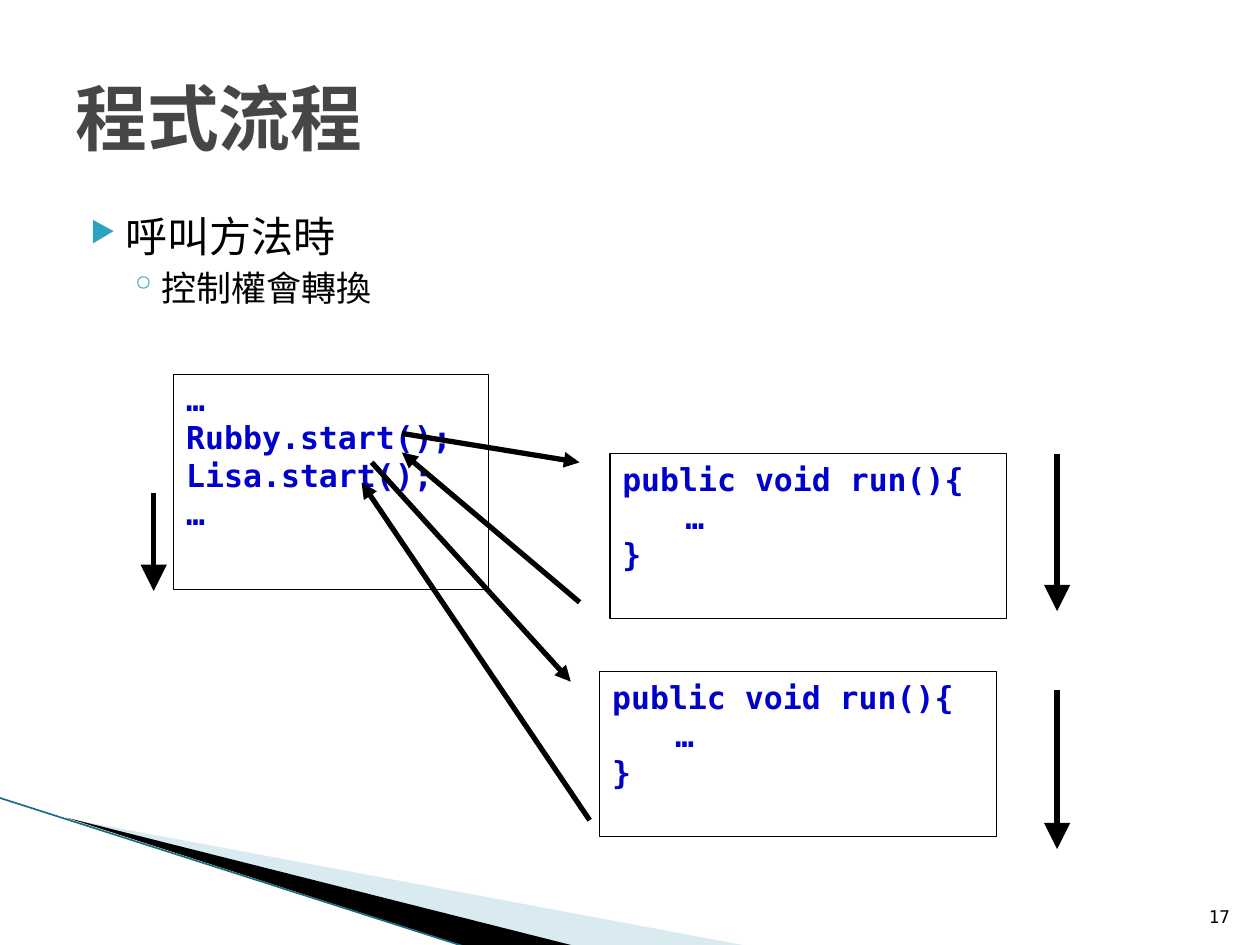
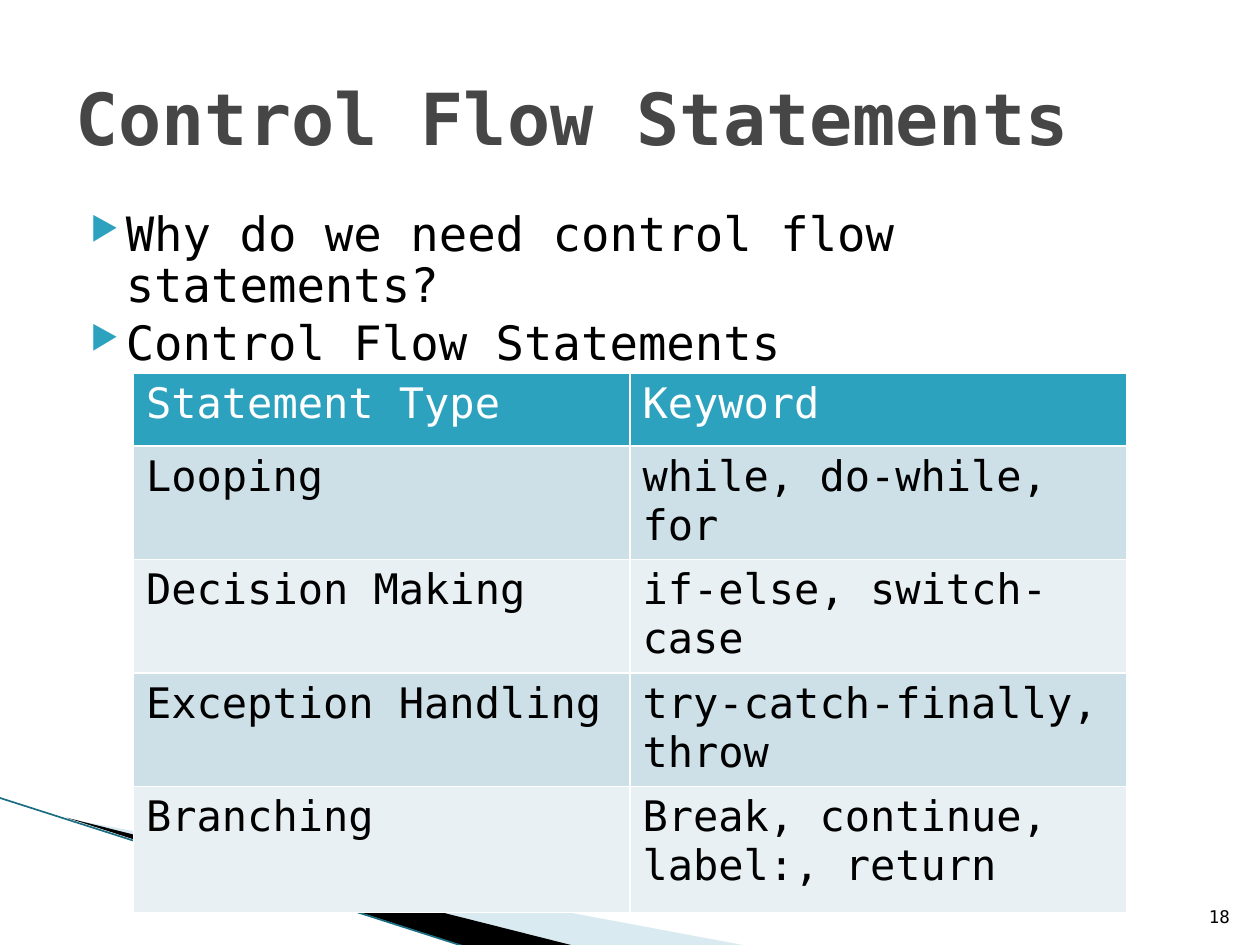
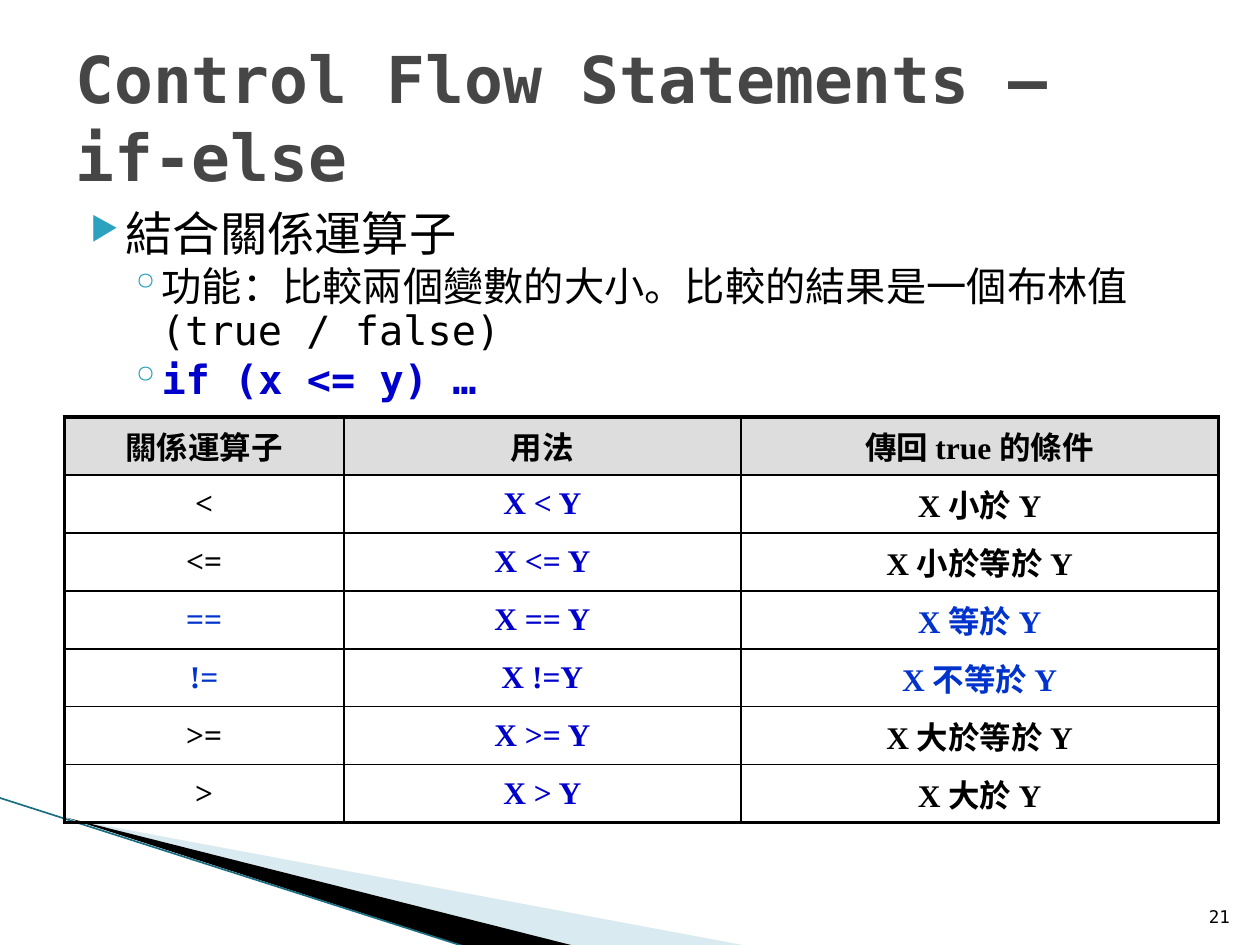
from dataclasses import dataclass

from lxml import etree
from pptx import Presentation
from pptx.dml.color import RGBColor
from pptx.enum.shapes import MSO_CONNECTOR, MSO_SHAPE
from pptx.enum.text import MSO_ANCHOR, PP_ALIGN
from pptx.oxml.ns import qn
from pptx.util import Inches, Pt

STRAIGHT = MSO_CONNECTOR.STRAIGHT
RECTANGLE = MSO_SHAPE.RECTANGLE
TOP, MIDDLE, BOTTOM = MSO_ANCHOR.TOP, MSO_ANCHOR.MIDDLE, MSO_ANCHOR.BOTTOM
LEFT, CENTER, RIGHT = PP_ALIGN.LEFT, PP_ALIGN.CENTER, PP_ALIGN.RIGHT

MONO, SERIF = "DejaVu Sans Mono", "Times New Roman"
COLORS = {
    "text": "000000",
    "title": "464646",
    "code": "0000CC",
    "equality": "0033CC",
    "accent": "2DA2BF",
    "pale_band": "A0CBDC",
    "band_edge": "1A6E82",
    "white": "FFFFFF",
    "row_dark": "CDE0E8",
    "row_light": "E8F0F4",
    "header_gray": "DDDDDD",
}


@dataclass(frozen=True)
class Bullet:
    text: str
    size: float
    level: int = 0
    color: str = "text"
    bold: bool = False


@dataclass(frozen=True)
class BulletStyle:
    indent: float
    hanging: float
    space_before: float
    char: str
    percent: int


@dataclass(frozen=True)
class CodeBox:
    left: float
    top: float
    width: float
    height: float
    lines: tuple


@dataclass(frozen=True)
class Arrow:
    x1: float
    y1: float
    x2: float
    y2: float
    head: str = "med"


@dataclass(frozen=True)
class CellStyle:
    size: float
    font: str
    color: str = "text"
    bold: bool = False
    fill: str = ""
    align: int = LEFT
    anchor: int = TOP
    space_before: float = 0


BULLET_STYLES = (
    BulletStyle(0.4, 0.28, 4, "▶", 68),
    BulletStyle(0.68, 0.25, 3.2, "◦", 100),
)


def rgb(name: str) -> RGBColor:
    return RGBColor.from_string(COLORS[name])


def add_xml(parent, tag: str, **attributes):
    return etree.SubElement(parent, qn(tag), attributes)


def style_font(paragraph, size: float, color: str, bold: bool = False, name: str = MONO) -> None:
    font = paragraph.font
    font.name, font.size, font.bold = name, Pt(size), bold
    font.color.rgb = rgb(color)


def add_line(slide, x1: float, y1: float, x2: float, y2: float, color: str, width: float):
    line = slide.shapes.add_connector(STRAIGHT, Inches(x1), Inches(y1), Inches(x2), Inches(y2))
    line.line.color.rgb = rgb(color)
    line.line.width = Pt(width)
    add_xml(line._element.spPr, "a:effectLst")
    return line


def add_band(slide, points: list, color: str, alpha: int = 100) -> None:
    corners = [(Inches(x), Inches(y)) for x, y in points]
    builder = slide.shapes.build_freeform(*corners[0])
    builder.add_line_segments(corners[1:], close=True)
    band = builder.convert_to_shape()
    band.shadow.inherit = False
    band.line.fill.background()
    band.fill.solid()
    band.fill.fore_color.rgb = rgb(color)
    if alpha < 100:
        tint = band._element.spPr.find(qn("a:solidFill"))[0]
        add_xml(tint, "a:alpha", val=str(alpha * 1000))


def add_text_frame(slide, left: float, top: float, width: float, height: float, anchor=TOP):
    box = slide.shapes.add_textbox(Inches(left), Inches(top), Inches(width), Inches(height))
    frame = box.text_frame
    frame.word_wrap = True
    frame.vertical_anchor = anchor
    return frame


def new_slide(prs, title: str, number: int, title_size: float = 41):
    """Blank slide with the corner bands, the title and the page number."""
    slide = prs.slides.add_slide(prs.slide_layouts[6])
    add_band(slide, [(0.55, 6.5), (5.95, 7.51), (4.56, 7.51)], "pale_band", 40)
    add_band(slide, [(0.53, 6.49), (4.57, 7.51), (3.72, 7.52)], "text")
    add_line(slide, -0.01, 6.33, 3.71, 7.52, "band_edge", 0.95)

    heading = add_text_frame(slide, 0.5, 0.3, 9, 1.25, MIDDLE).paragraphs[0]
    heading.text = title
    style_font(heading, title_size, "title", bold=True)

    page = add_text_frame(slide, 9.46, 7.01, 0.4, 0.4, BOTTOM).paragraphs[0]
    page.text = str(number)
    page.alignment = RIGHT
    style_font(page, 10, "text")
    return slide


def add_bullets(slide, bullets: list, height: float, line_spacing: float = 1.0) -> None:
    frame = add_text_frame(slide, 0.5, 1.62, 9, height)
    for index, bullet in enumerate(bullets):
        paragraph = frame.add_paragraph() if index else frame.paragraphs[0]
        style = BULLET_STYLES[bullet.level]
        paragraph.text = bullet.text
        paragraph.level = bullet.level
        paragraph.line_spacing = line_spacing
        paragraph.space_before = Pt(style.space_before)
        properties = paragraph._p.get_or_add_pPr()
        properties.set("marL", str(Inches(style.indent)))
        properties.set("indent", str(-Inches(style.hanging)))
        add_xml(add_xml(properties, "a:buClr"), "a:srgbClr", val=COLORS["accent"])
        add_xml(properties, "a:buSzPct", val=str(style.percent * 1000))
        add_xml(properties, "a:buChar", char=style.char)
        style_font(paragraph, bullet.size, bullet.color, bullet.bold)


def add_code_box(slide, code: CodeBox) -> None:
    box = slide.shapes.add_shape(RECTANGLE, Inches(code.left), Inches(code.top),
                                 Inches(code.width), Inches(code.height))
    box.shadow.inherit = False
    box.fill.background()
    box.line.color.rgb = rgb("text")
    box.line.width = Pt(0.75)
    frame = box.text_frame
    frame.word_wrap = True
    frame.vertical_anchor = TOP
    frame.text = "\n".join(code.lines)
    for paragraph in frame.paragraphs:
        paragraph.alignment = LEFT
        style_font(paragraph, 18, "code", bold=True)


def add_arrow(slide, arrow: Arrow) -> None:
    line = add_line(slide, arrow.x1, arrow.y1, arrow.x2, arrow.y2, "text", 3)
    add_xml(line.line._get_or_add_ln(), "a:tailEnd", type="triangle", w=arrow.head, len=arrow.head)


def set_borders(cell, color: str, widths: dict) -> None:
    properties = cell._tc.get_or_add_tcPr()
    for index, side in enumerate("LRTB"):
        line = etree.Element(qn(f"a:ln{side}"), w=str(Pt(widths[side])))
        add_xml(add_xml(line, "a:solidFill"), "a:srgbClr", val=COLORS[color])
        properties.insert(index, line)


def add_grid(slide, left: float, top: float, widths: list, heights: list, rows: list,
             style_of, border: str, outer: float, inner: float) -> None:
    """Table whose cell styles come from style_of(row, column)."""
    frame = slide.shapes.add_table(len(rows), len(widths), Inches(left), Inches(top),
                                   Inches(sum(widths)), Inches(sum(heights)))
    table = frame.table
    table.first_row = table.horz_banding = False
    for column, width in zip(table.columns, widths):
        column.width = Inches(width)
    for row, height in zip(table.rows, heights):
        row.height = Inches(height)
    last_row, last_column = len(rows) - 1, len(widths) - 1
    for r, texts in enumerate(rows):
        for c, text in enumerate(texts):
            cell, style = table.cell(r, c), style_of(r, c)
            cell.vertical_anchor = style.anchor
            if style.fill:
                cell.fill.solid()
                cell.fill.fore_color.rgb = rgb(style.fill)
            else:
                cell.fill.background()
            paragraph = cell.text_frame.paragraphs[0]
            paragraph.text = text
            paragraph.alignment = style.align
            paragraph.space_before = Pt(style.space_before)
            style_font(paragraph, style.size, style.color, style.bold, style.font)
            set_borders(cell, border, {
                "L": inner if c else outer,
                "R": inner if c < last_column else outer,
                "T": inner if r else outer,
                "B": inner if r < last_row else outer,
            })


def build_program_flow(prs) -> None:
    slide = new_slide(prs, "程式流程", 17)
    add_bullets(slide, [Bullet("呼叫方法時", 24), Bullet("控制權會轉換", 20, level=1)], 0.87)

    run_method = ("public void run(){", "\t…", "}")
    for code in (
        CodeBox(1.38, 2.97, 2.5, 1.71, ("…", "Rubby.start();", "Lisa.start();", "…")),
        CodeBox(4.84, 3.6, 3.15, 1.31, run_method),
        CodeBox(4.76, 5.33, 3.15, 1.31, run_method),
    ):
        add_code_box(slide, code)

    # Calls and returns, then the downward flow beside each box
    for arrow in (
        Arrow(3.19, 3.44, 4.6, 3.67),
        Arrow(2.95, 3.67, 4.53, 5.41),
        Arrow(4.6, 4.78, 3.19, 3.59),
        Arrow(4.68, 6.51, 2.87, 3.83),
        Arrow(8.39, 3.6, 8.39, 4.85, "lg"),
        Arrow(8.39, 5.48, 8.39, 6.74, "lg"),
        Arrow(1.22, 3.91, 1.22, 4.69, "lg"),
    ):
        add_arrow(slide, arrow)


def statement_style(row: int, column: int) -> CellStyle:
    if row == 0:
        return CellStyle(24, MONO, "white", fill="accent")
    return CellStyle(24, MONO, fill="row_dark" if row % 2 else "row_light")


def build_statement_types(prs) -> None:
    slide = new_slide(prs, "Control Flow Statements", 18)
    add_bullets(slide, [
        Bullet("Why do we need control flow statements?", 27),
        Bullet("Control Flow Statements", 27),
    ], 4.95, 0.9)
    statements = [
        ("Statement Type", "Keyword"),
        ("Looping", "while, do-while, for"),
        ("Decision Making", "if-else, switch-case"),
        ("Exception Handling", "try-catch-finally, throw"),
        ("Branching", "Break, continue, label:, return"),
    ]
    add_grid(slide, 1.06, 2.96, [3.94] * 2, [0.58] * 4 + [1], statements,
             statement_style, "white", outer=1, inner=1)


def operator_style(row: int, column: int) -> CellStyle:
    color = "text"
    if row and column == 1:
        color = "code"
    elif row in (3, 4):  # == and !=
        color = "equality"
    return CellStyle(18, SERIF, color, bold=True, fill="" if row else "header_gray",
                     align=CENTER, anchor=MIDDLE if row and column < 2 else TOP,
                     space_before=3.6)


def build_relational_operators(prs) -> None:
    slide = new_slide(prs, "Control Flow Statements – if-else", 21, 36.9)
    add_bullets(slide, [
        Bullet("結合關係運算子", 27),
        Bullet("功能：比較兩個變數的大小。比較的結果是一個布林值 (true / false)", 23, level=1),
        Bullet("if (x <= y) …", 23, level=1, color="code", bold=True),
    ], 1.66, 0.9)
    operators = [
        ("關係運算子", "用法", "傳回 true 的條件"),
        ("<", "X < Y", "X 小於 Y"),
        ("<=", "X <= Y", "X 小於等於 Y"),
        ("==", "X == Y", "X 等於 Y"),
        ("!=", "X !=Y", "X 不等於 Y"),
        (">=", "X >= Y", "X 大於等於 Y"),
        (">", "X > Y", "X 大於 Y"),
    ]
    add_grid(slide, 0.51, 3.31, [2.22, 3.15, 3.79], [0.46] * len(operators), operators,
             operator_style, "text", outer=2.25, inner=1)


def main() -> None:
    prs = Presentation()
    prs.slide_width, prs.slide_height = Inches(10), Inches(7.5)
    build_program_flow(prs)
    build_statement_types(prs)
    build_relational_operators(prs)
    prs.save("out.pptx")


main()
